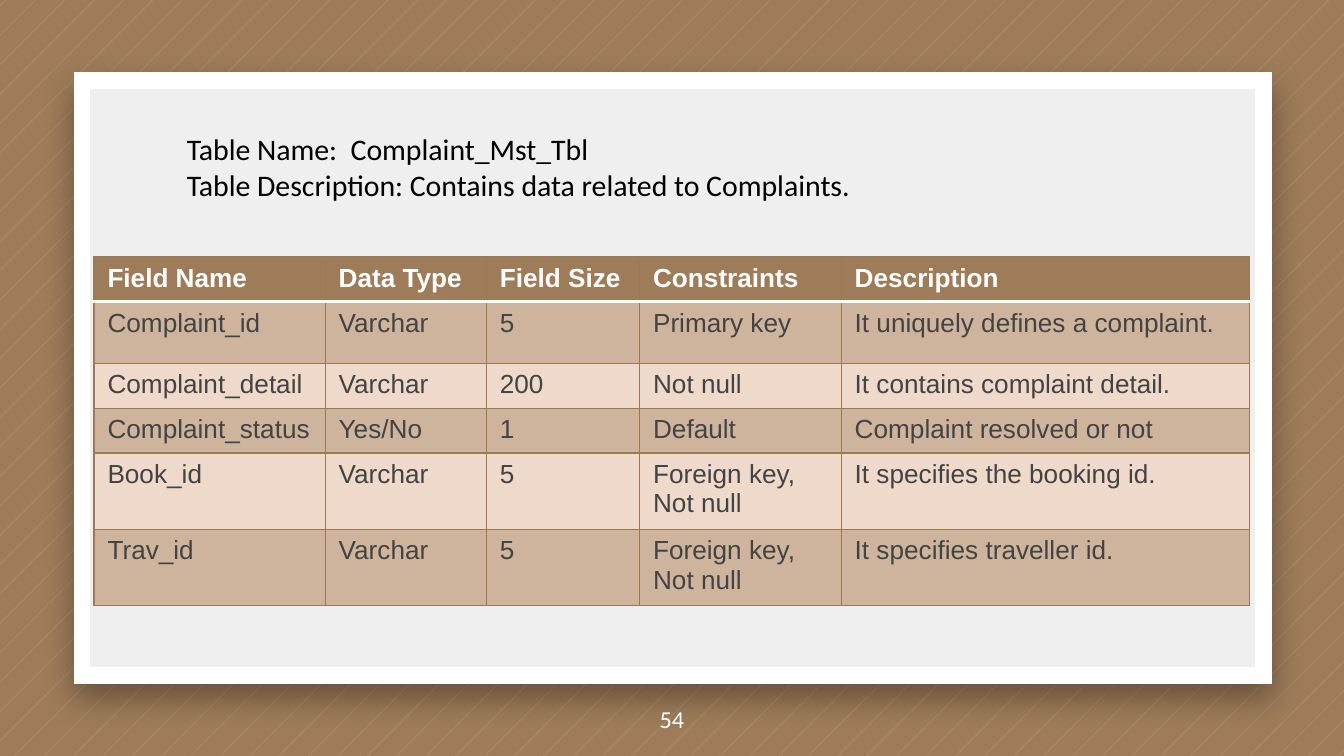
from dataclasses import dataclass

from lxml.etree import SubElement
from pptx import Presentation
from pptx.dml.color import RGBColor
from pptx.enum.shapes import MSO_SHAPE
from pptx.enum.text import MSO_ANCHOR, MSO_AUTO_SIZE, PP_ALIGN
from pptx.oxml.ns import qn
from pptx.util import Inches, Pt


@dataclass(frozen=True)
class Theme:
    brown: str = "9E7C59"
    edge: str = "9C7955"
    dark: str = "CEB49D"
    light: str = "EED9CA"
    panel: str = "EFEFEF"
    white: str = "FFFFFF"
    black: str = "000000"
    ink: str = "434343"
    head: str = "Calibri"
    body: str = "Arial"
    title: int = 16
    cell: int = 14
    page: int = 13


THEME = Theme()
SIZE = (10, 10 * 9 / 16)
COLS = (1.72, 1.2, 1.14, 1.5, 3.04)
ROWS = (0.19, 0.46) + (0.33 - 0.01 / 2,) * 4
HEAD = ("Table Name:  Complaint_Mst_Tbl\n"
        "Table Description: Contains data related to Complaints.")
DATA = (
    ("Field Name", "Data Type", "Field Size", "Constraints", "Description"),
    ("Complaint_id", "Varchar", "5", "Primary key", "It uniquely defines a complaint."),
    ("Complaint_detail", "Varchar", "200", "Not null", "It contains complaint detail."),
    ("Complaint_status", "Yes/No", "1", "Default", "Complaint resolved or not"),
    ("Book_id", "Varchar", "5", "Foreign key,\nNot null", "It specifies the booking id."),
    ("Trav_id", "Varchar", "5", "Foreign key,\nNot null", "It specifies traveller id."),
)


def rgb(code):
    return RGBColor.from_string(code)


def add(parent, tag, **attrs):
    return SubElement(parent, qn(tag), {k: str(v) for k, v in attrs.items()})


def paint(fill, code):
    fill.solid()
    fill.fore_color.rgb = rgb(code)


def write(frame, text, *, font, size, color, bold=False, align=PP_ALIGN.LEFT):
    """Put one paragraph per line of text into the frame."""
    frame.word_wrap = True
    for i, line in enumerate(text.split("\n")):
        para = frame.paragraphs[0] if i == 0 else frame.add_paragraph()
        para.alignment = align
        run = para.add_run()
        run.text = line
        run.font.name, run.font.size = font, Pt(size)
        run.font.bold, run.font.color.rgb = bold, rgb(color)


def stripes(slide, box, first=0.04, step=7 / 32, thick=0.01):
    """Cover the box with thin diagonal bands, clipped to its edges."""
    left, top, wide, high = box

    def ends(s):
        return ((min(s, wide), max(0, s - wide)), (max(0, s - high), min(s, high)))

    pen = None
    for i in range(int((wide + high - first) / step) + 1):
        s = first + i * step
        (a, b), (d, c) = ends(s), ends(min(s + thick, wide + high))
        dots = [(Inches(left + x), Inches(top + y)) for x, y in (a, b, c, d)]
        if pen is None:
            pen = slide.shapes.build_freeform(*dots[0], scale=1.0)
        else:
            pen.move_to(*dots[0])
        pen.add_line_segments(dots[1:], close=True)
    shape = pen.convert_to_shape()
    shape.shadow.inherit = False
    shape.line.fill.background()
    paint(shape.fill, THEME.white)
    color = shape.fill._xPr.find(qn("a:solidFill"))[0]
    add(color, "a:alpha", val=10000)


def panel(slide, box):
    """Framed card with a soft shadow below."""
    shape = slide.shapes.add_shape(MSO_SHAPE.RECTANGLE, *map(Inches, box))
    shape.shadow.inherit = False
    paint(shape.fill, THEME.panel)
    shape.line.color.rgb = rgb(THEME.white)
    shape.line.width = Pt(9)
    props = shape.element.spPr
    add(props.find(qn("a:ln")), "a:miter", lim=800000)
    glow = add(props.find(qn("a:effectLst")), "a:outerShdw", blurRad=Pt(16.9),
               dist=Pt(7.5), dir=90 * 60000, algn="t", rotWithShape=0)
    add(add(glow, "a:srgbClr", val=THEME.black), "a:alpha", val=35000)


def heading(slide, box):
    """Title placeholder, raised above the card."""
    title = slide.shapes.title
    title.left, title.top, title.width, title.height = map(Inches, box)
    slide.shapes.element.append(title.element)
    frame = title.text_frame
    frame.vertical_anchor = MSO_ANCHOR.TOP
    frame.auto_size = MSO_AUTO_SIZE.SHAPE_TO_FIT_TEXT
    write(frame, HEAD, font=THEME.head, size=THEME.title, color=THEME.black)


def border(cell, side, code, width):
    line = add(cell._tc.get_or_add_tcPr(), f"a:ln{side}", w=Pt(width))
    add(add(line, "a:solidFill"), "a:srgbClr", val=code)


def fields(slide, box):
    """Table of fields with a bold header and banded rows."""
    holder = slide.shapes.add_table(len(ROWS), len(COLS), *map(Inches, box))
    grid = holder.table
    for col, wide in zip(grid.columns, COLS):
        col.width = Inches(wide)
    for r, (row, high) in enumerate(zip(grid.rows, ROWS)):
        row.height = Inches(high)
        top = r == 0
        fill = THEME.brown if top else THEME.dark if r % 2 else THEME.light
        for cell, text in zip(row.cells, DATA[r]):
            write(cell.text_frame, text, font=THEME.body, size=THEME.cell,
                  color=THEME.white if top else THEME.ink, bold=top)
            for side in "LRTB":
                rule = (r, side) in ((0, "B"), (1, "T"))
                border(cell, side, *((THEME.white, 2) if rule else (THEME.edge, 0.75)))
            paint(cell.fill, fill)
    # Rows grow with their text, so the frame is taller than their sum
    holder.height = Inches(box[3])


def footer(slide, box):
    """Centred page number."""
    frame = slide.shapes.add_textbox(*map(Inches, box)).text_frame
    frame.vertical_anchor = MSO_ANCHOR.MIDDLE
    frame.margin_top = frame.margin_bottom = Inches(0.1)
    write(frame, "54", font=THEME.head, size=THEME.page, color=THEME.white,
          align=PP_ALIGN.CENTER)


def main():
    deck = Presentation()
    deck.slide_width, deck.slide_height = map(Inches, SIZE)
    slide = deck.slides.add_slide(deck.slide_layouts[5])
    paint(slide.background.fill, THEME.brown)
    stripes(slide, (0, 0, *SIZE))
    panel(slide, (0.61, 0.6, 8.79, 4.43))
    footer(slide, (0, 5.08, 10, 0.54))
    fields(slide, (0.7, 1.91, sum(COLS), 2.59))
    heading(slide, (1.29, 0.92, 7.43, 0.64))
    deck.save("out.pptx")


if __name__ == "__main__":
    main()
